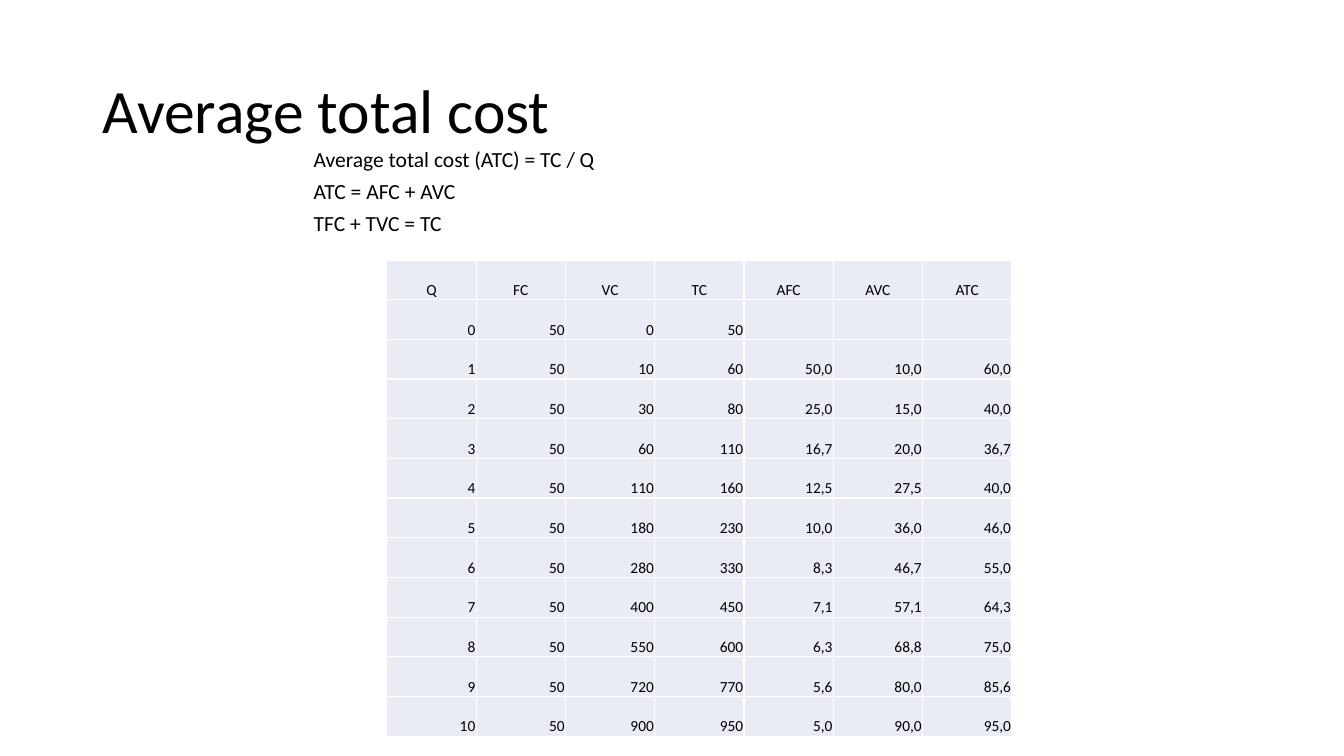
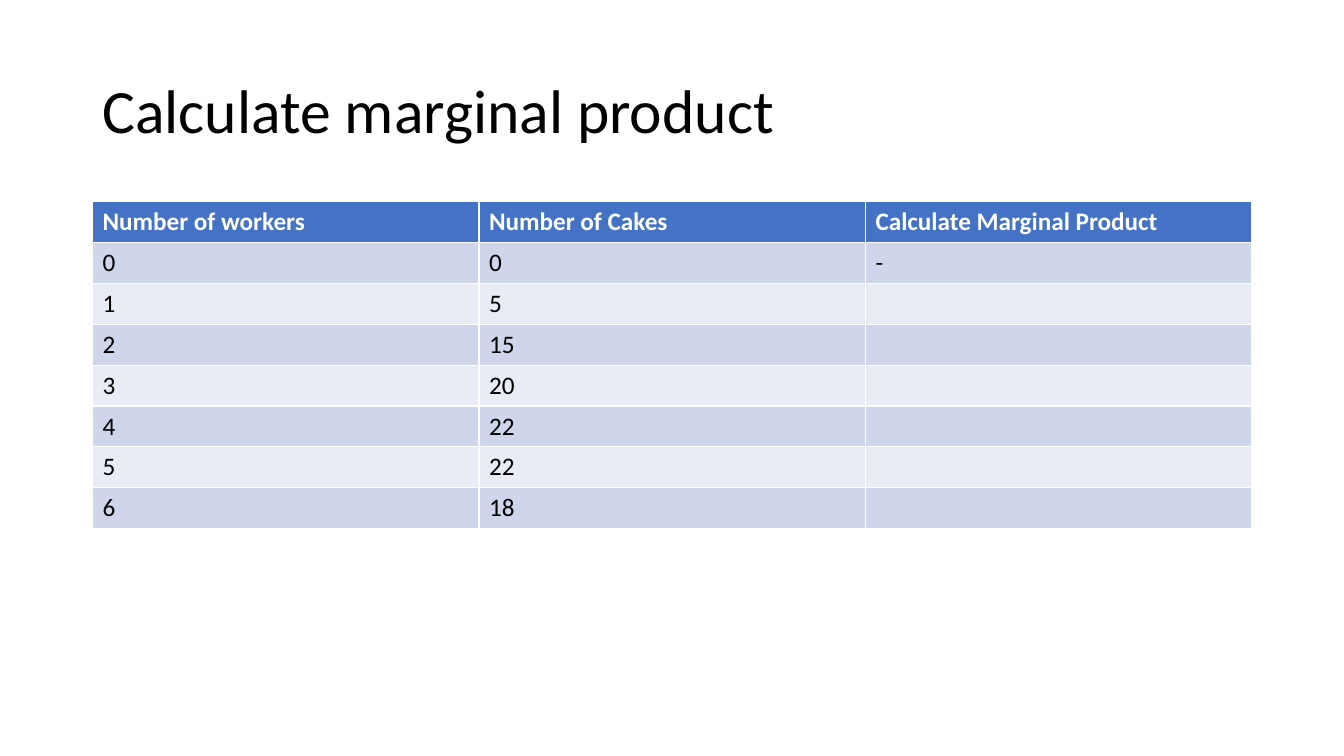
from dataclasses import dataclass
from math import floor

from lxml import etree
from pptx import Presentation
from pptx import util as u
from pptx.dml import color
from pptx.enum import text as tx
from pptx.oxml import ns

FONT = "Calibri"
HUES = {"ink": "000000", "head": "4472C4", "white": "FFFFFF",
        "band": "CFD5EA", "pale": "E9EBF5"}
LEFT, CENTER, RIGHT = tx.PP_ALIGN.LEFT, tx.PP_ALIGN.CENTER, tx.PP_ALIGN.RIGHT


@dataclass
class Box:
    left: float
    top: float
    width: float
    height: float


@dataclass
class Grid:
    """A table: cell sizes and insets in cm, text size in points."""
    rows: list[list[str]]
    left: float
    top: float
    col: float
    row: float
    size: float
    head: bool = True  # coloured header row and banded body
    tight: bool = False  # small insets, text at the bottom
    heads: tx.PP_ALIGN = LEFT
    align: tx.PP_ALIGN = LEFT


TITLE = Box(2.33, 1.01, 29.21, 3.68)
BODY = Box(7.35, 3.73, 21.59, 2.38)


def hue(name: str) -> color.RGBColor:
    return color.RGBColor.from_string(HUES[name])


def style(para, size: float, ink: str = "ink", bold: bool = False,
          align: tx.PP_ALIGN = LEFT) -> None:
    para.alignment = align
    font = para.font
    font.name, font.size, font.bold = FONT, u.Pt(size), bold
    font.color.rgb = hue(ink)


def place(shape, box: Box) -> None:
    shape.left, shape.top = u.Cm(box.left), u.Cm(box.top)
    shape.width, shape.height = u.Cm(box.width), u.Cm(box.height)
    shape.text_frame.auto_size = tx.MSO_AUTO_SIZE.NONE


def start(deck, layout: int, title: str):
    """Add a slide with the shared title style."""
    slide = deck.slides.add_slide(deck.slide_layouts[layout])
    shape = slide.shapes.title
    place(shape, TITLE)
    frame = shape.text_frame
    frame.text = title
    frame.vertical_anchor = tx.MSO_ANCHOR.MIDDLE
    para = frame.paragraphs[0]
    style(para, 44)
    para.line_spacing = 0.9
    return slide


def fill_list(shape, lines: list[str]) -> None:
    place(shape, BODY)
    frame = shape.text_frame
    frame.text = "\n".join(lines)
    for para in frame.paragraphs:
        style(para, 15.4)
        para.line_spacing, para.space_before = 0.7, u.Pt(10)
        # Indent without a bullet
        props = para._p.get_or_add_pPr()
        props.set("marL", str(u.Cm(0.3)))
        props.set("indent", "0")
        props.insert_element_before(
            etree.SubElement(props, ns.qn("a:buNone")), "a:defRPr")


def draw_grid(slide, grid: Grid) -> None:
    count, wide = len(grid.rows), len(grid.rows[0])
    # The default table style supplies the white rules
    table = slide.shapes.add_table(
        count, wide, u.Cm(grid.left), u.Cm(grid.top),
        u.Cm(grid.col * wide), u.Cm(grid.row * count)).table
    table.first_row = table.horz_banding = grid.head
    for col in table.columns:
        col.width = u.Cm(grid.col)
    for i, (row, words) in enumerate(zip(table.rows, grid.rows)):
        row.height = u.Cm(grid.row)
        top = grid.head and i == 0
        tint = "head" if top else "band" if grid.head and i % 2 else "pale"
        for cell, word in zip(row.cells, words):
            cell.text = word
            cell.fill.solid()
            cell.fill.fore_color.rgb = hue(tint)
            if grid.tight:
                cell.vertical_anchor = tx.MSO_ANCHOR.BOTTOM
                cell.margin_left = cell.margin_right = u.Cm(0.02)
                cell.margin_top, cell.margin_bottom = u.Cm(0.02), 0
            style(cell.text_frame.paragraphs[0], grid.size,
                  "white" if top else "ink", top,
                  grid.align if i else grid.heads)


def mean(cost: int, units: int) -> str:
    """Cost per unit, rounded half up, with a decimal comma."""
    if not units:
        return ""
    return f"{floor(cost / units * 10 + 0.5) / 10:.1f}".replace(".", ",")


def cost_rows() -> list[list[str]]:
    fixed = 50
    rows = [["Q", "FC", "VC", "TC", "AFC", "AVC", "ATC"]]
    for units, cost in enumerate(
            [0, 10, 30, 60, 110, 180, 280, 400, 550, 720, 900]):
        total = fixed + cost
        rows.append([str(n) for n in (units, fixed, cost, total)]
                    + [mean(n, units) for n in (fixed, cost, total)])
    return rows


def cake_rows() -> list[list[str]]:
    cakes = [0, 5, 15, 20, 22, 22, 18]
    return [["Number of workers", "Number of Cakes",
             "Calculate Marginal Product"]] + [
        [str(i), str(n), "" if i else "-"] for i, n in enumerate(cakes)]


def main() -> None:
    deck = Presentation()
    deck.slide_width, deck.slide_height = u.Cm(33.87), u.Cm(19.05)

    # Average total cost
    slide = start(deck, 1, "Average total cost")
    fill_list(slide.placeholders[1], [
        "Average total cost (ATC) = TC / Q",
        "ATC = AFC + AVC",
        "TFC + TVC = TC"])
    draw_grid(slide, Grid(cost_rows(), 9.75, 6.55, 2.25, 1, 11, head=False,
                          tight=True, heads=CENTER, align=RIGHT))

    # Marginal product
    slide = start(deck, 5, "Calculate marginal product")
    draw_grid(slide, Grid(cake_rows(), 2.33, 5.08, 9.74, 1.03, 18))

    deck.save("out.pptx")


if __name__ == "__main__":
    main()
